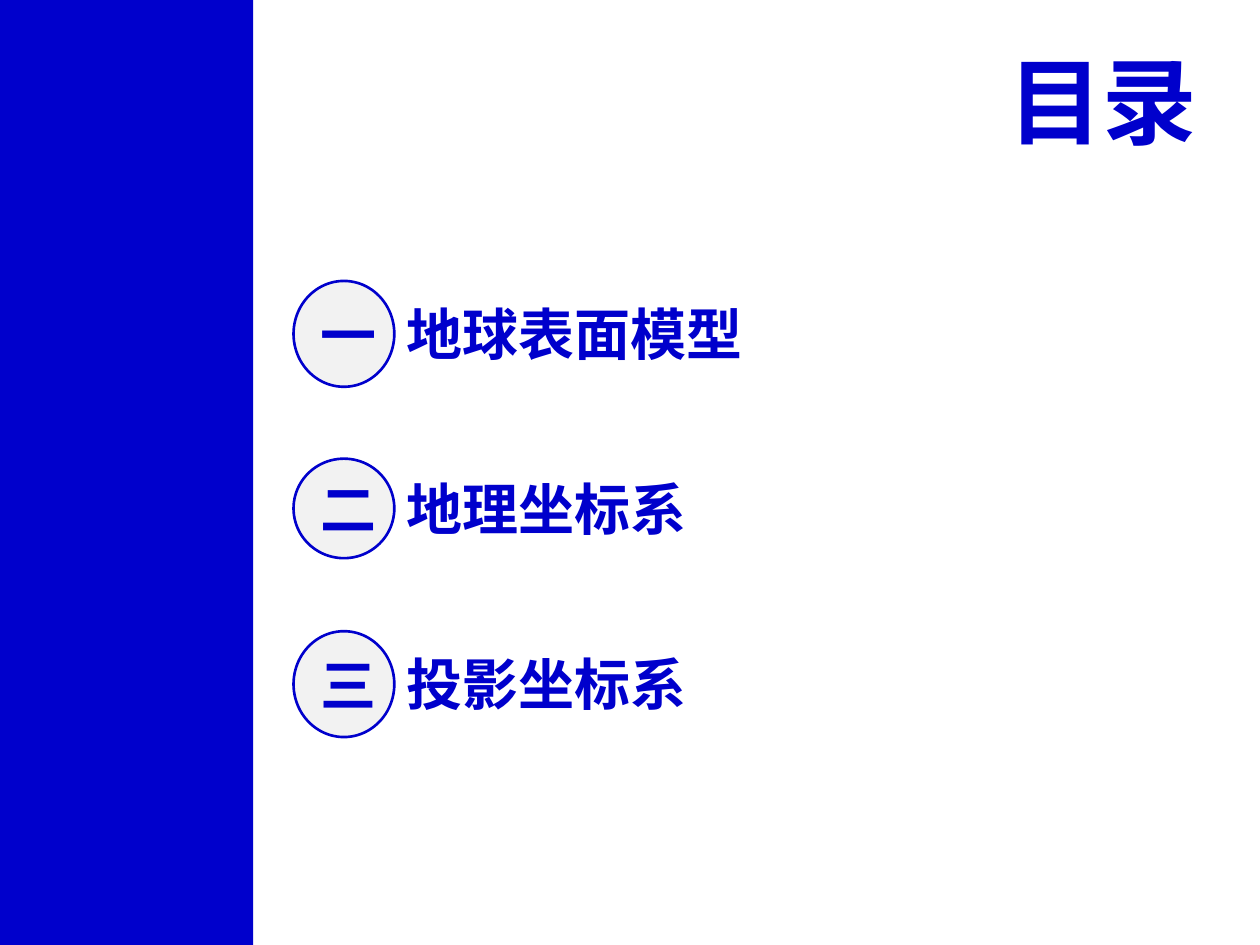
from dataclasses import dataclass

from lxml import etree
from pptx import Presentation
from pptx import util as u
from pptx.dml.color import RGBColor
from pptx.enum import shapes, text
from pptx.oxml.ns import qn


@dataclass(frozen=True)
class Theme:
    blue: RGBColor = RGBColor(0x00, 0x00, 0xCC)
    grey: RGBColor = RGBColor(0xF2, 0xF2, 0xF2)
    latin: str = "Arial"
    cjk: str = "Noto Sans CJK SC"
    title: int = 54
    item: int = 32


def write(tf, content, *, font, cjk, size, color, align, anchor, wrap=True):
    tf.word_wrap = wrap
    tf.vertical_anchor = anchor
    p = tf.paragraphs[0]
    p.alignment = align
    r = p.add_run()
    r.text = content
    r.font.name = font
    r.font.size = u.Pt(size)
    r.font.bold = True
    r.font.color.rgb = color
    etree.SubElement(r.font._element, qn("a:ea"), typeface=cjk)


class Deck:
    def __init__(self, s, theme):
        self.s = s
        self.theme = theme

    def shape(self, parent, kind, box, fill, line=None):
        sp = parent.add_shape(kind, *map(u.Inches, box))
        sp.shadow.inherit = False
        sp.fill.solid()
        sp.fill.fore_color.rgb = fill
        if line is None:
            sp.line.fill.background()
        else:
            sp.line.color.rgb = line
            sp.line.width = u.Pt(1.5)
        return sp

    def label(self, parent, content, box, size, **fmt):
        sp = parent.add_textbox(*map(u.Inches, box))
        write(sp.text_frame, content, font=self.theme.latin, cjk=self.theme.cjk,
              size=size, color=self.theme.blue, **fmt)
        sp.text_frame.auto_size = text.MSO_AUTO_SIZE.SHAPE_TO_FIT_TEXT

    def sidebar(self, width, height):
        self.shape(self.s.shapes, shapes.MSO_SHAPE.RECTANGLE,
                   (0, 0, width, height), self.theme.blue)

    def title(self, content, box):
        self.label(self.s.shapes, content, box, self.theme.title, wrap=False,
                   align=text.PP_ALIGN.RIGHT, anchor=text.MSO_ANCHOR.TOP)

    def item(self, number, content, top, height, label_top, label_width):
        t = self.theme
        group = self.s.shapes.add_group_shape().shapes
        sp = self.shape(group, shapes.MSO_SHAPE.OVAL, (2.33, top, 0.8, height),
                        t.grey, t.blue)
        write(sp.text_frame, number, font=t.cjk, cjk=t.cjk, size=t.item,
              color=t.blue, align=text.PP_ALIGN.CENTER,
              anchor=text.MSO_ANCHOR.MIDDLE)
        self.label(group, content, (3.13, label_top, label_width, 0.64), t.item,
                   align=text.PP_ALIGN.LEFT, anchor=text.MSO_ANCHOR.MIDDLE)


def main():
    prs = Presentation()
    prs.slide_width = u.Inches(10)
    prs.slide_height = u.Inches(7.5)
    deck = Deck(prs.slides.add_slide(prs.slide_layouts[6]), Theme())
    deck.sidebar(2.01, 7.5)
    deck.title("目录", (7.84, 0.29, 1.76, 1.01))
    for row in (
        ("一", "地球表面模型", 2.23, 0.84, 2.32, 6.47),
        ("二", "地理坐标系", 3.64, 0.79, 3.71, 6.2),
        ("三", "投影坐标系", 5.01, 0.84, 5.1, 6.76),
    ):
        deck.item(*row)
    prs.save("out.pptx")


if __name__ == "__main__":
    main()
